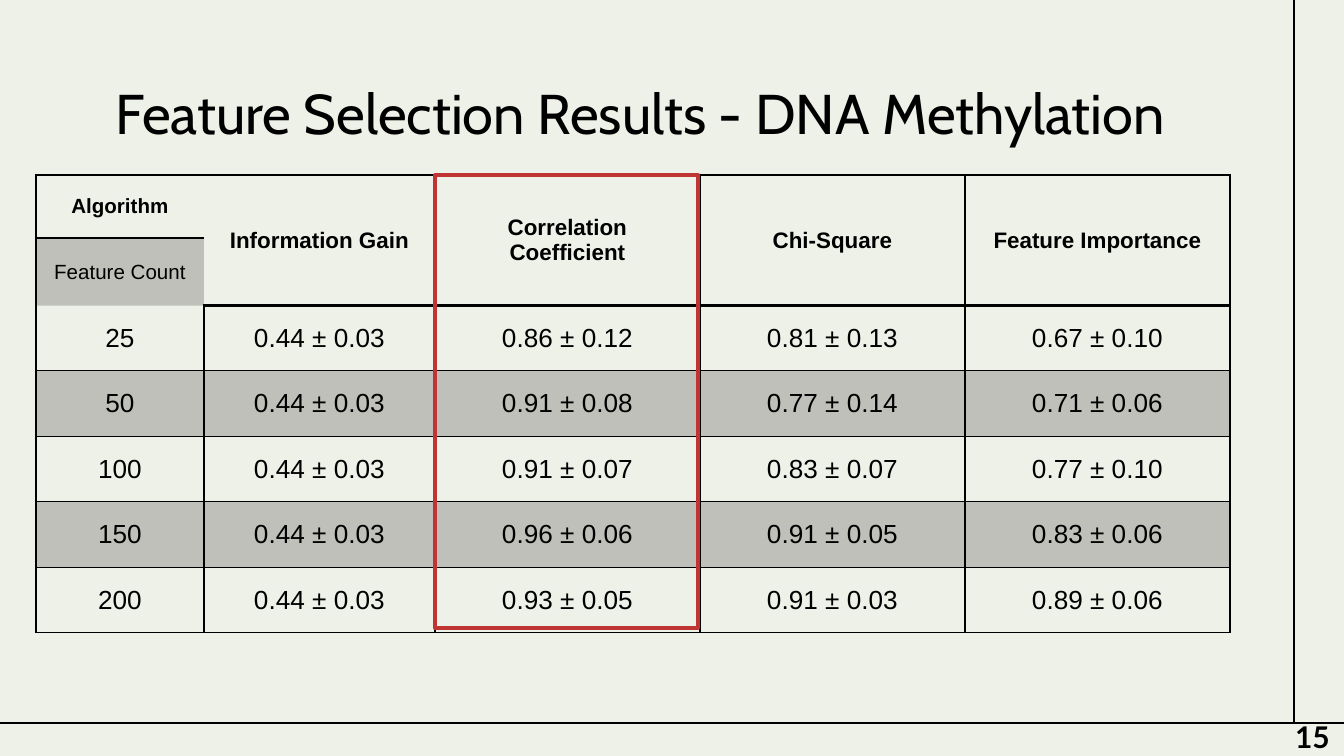
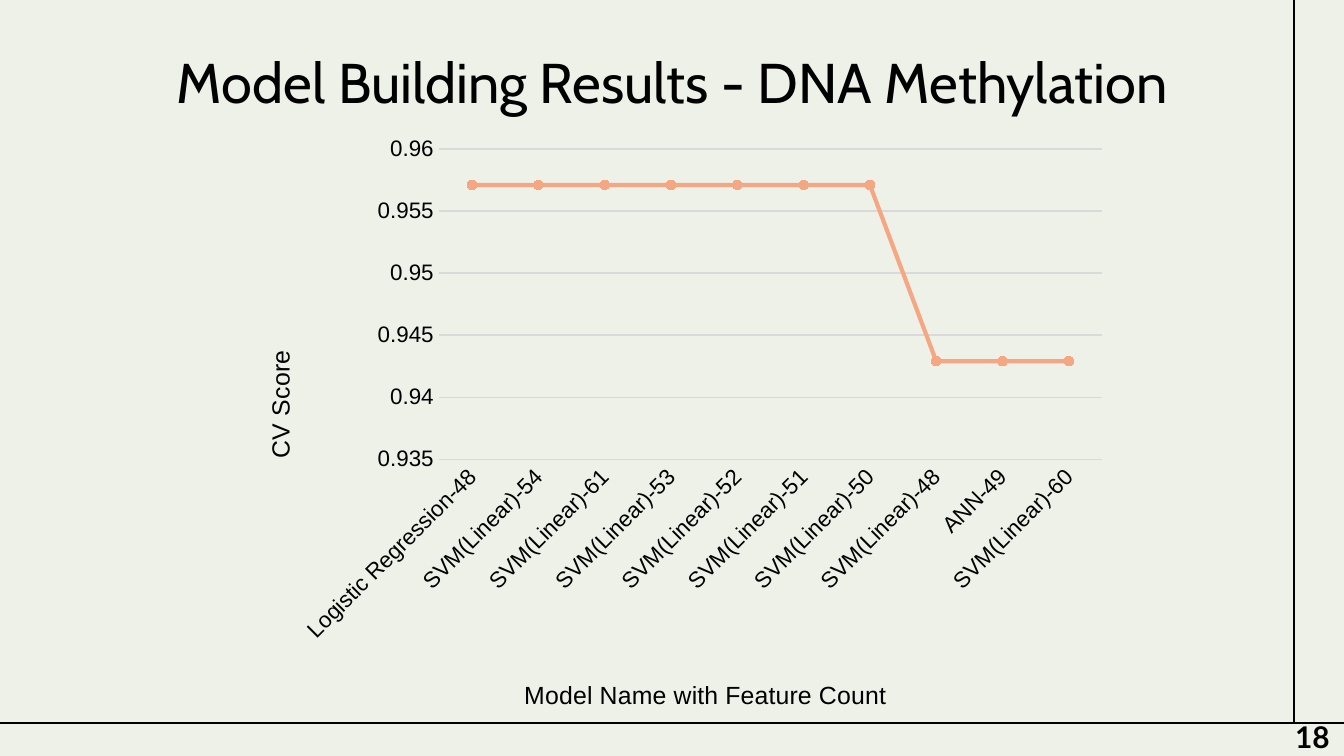
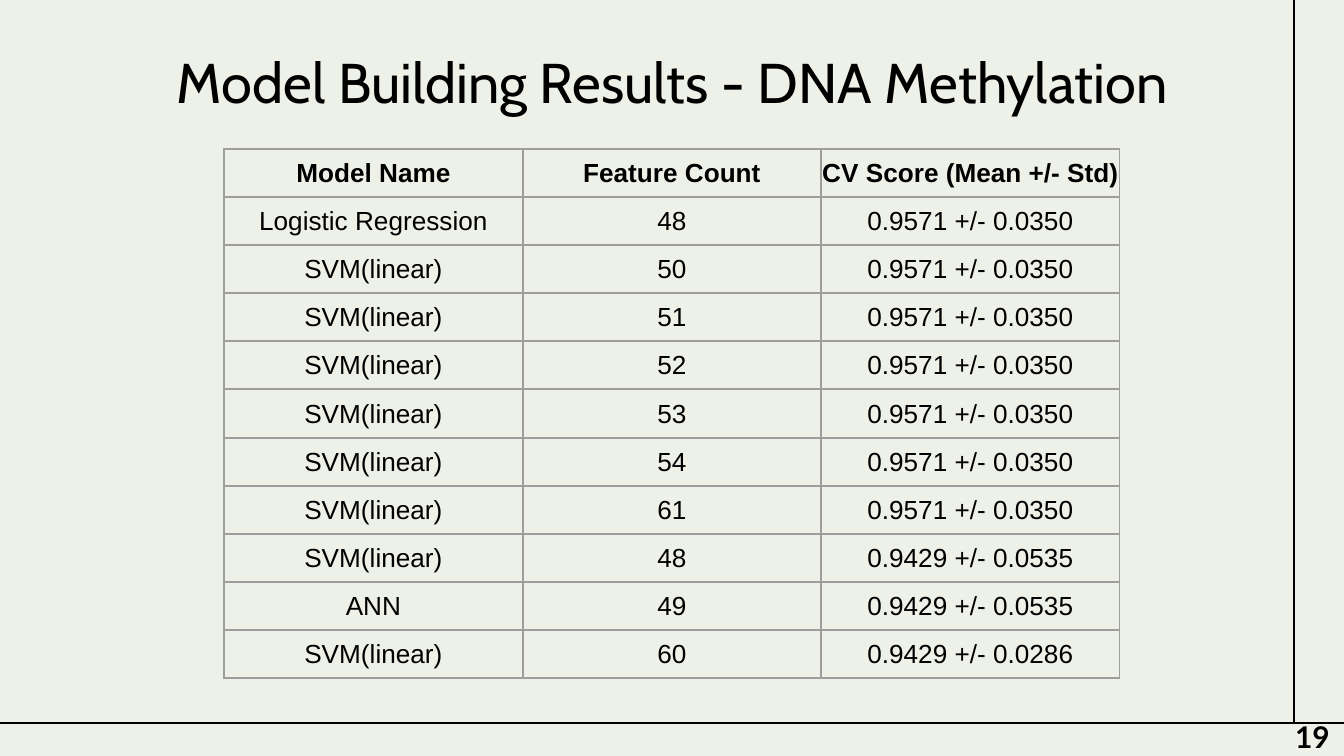
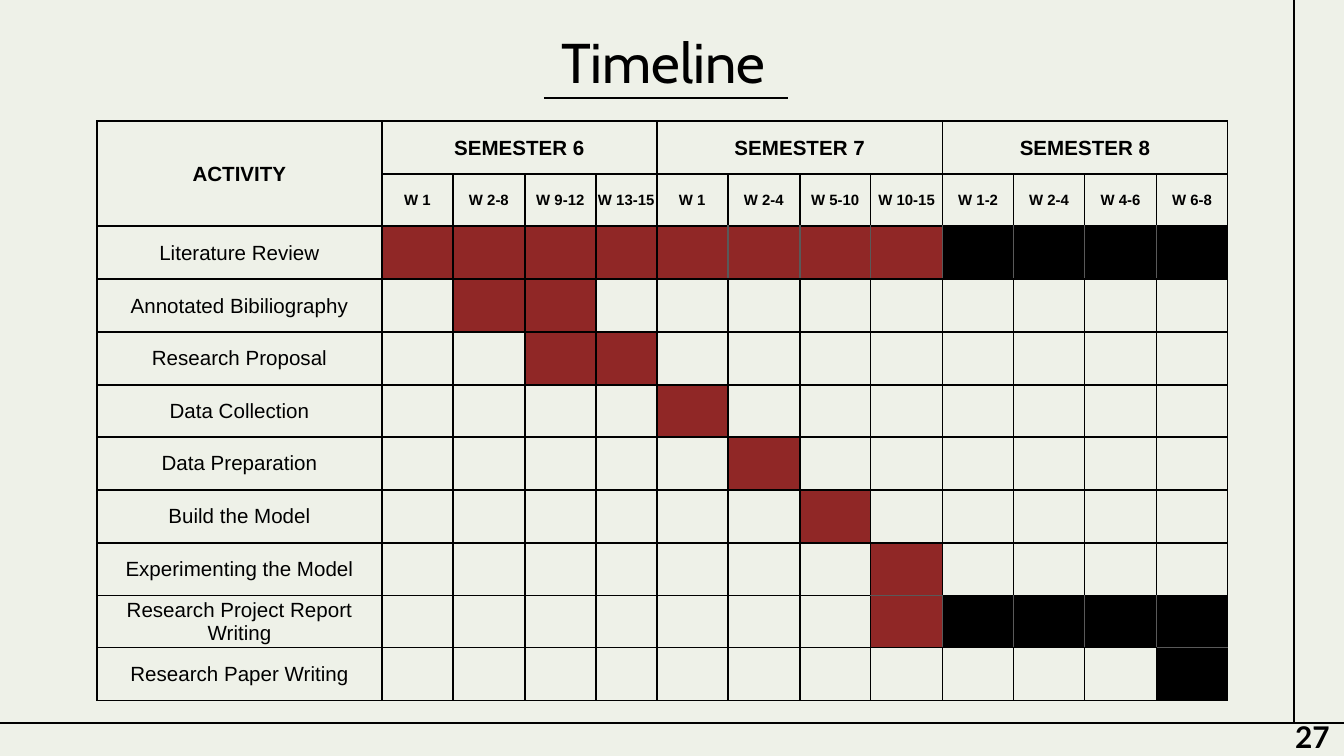
from lxml.etree import SubElement
from pptx import Presentation
from pptx.chart.data import CategoryChartData as ChartData
from pptx.dml.color import RGBColor as RGB
from pptx.enum.chart import XL_CHART_TYPE as Kind, XL_MARKER_STYLE as Mark
from pptx.enum.chart import XL_TICK_MARK as Tick
from pptx.enum.shapes import MSO_CONNECTOR as Conn, MSO_SHAPE as Form
from pptx.enum.text import MSO_ANCHOR as Anchor, MSO_AUTO_SIZE as Auto, PP_ALIGN as Align
from pptx.oxml.ns import qn
from pptx.util import Emu, Pt

WIDE, HIGH = 1344, 756
PAPER = RGB(0xEE, 0xF1, 0xE8)
BLACK = RGB(0, 0, 0)
RED = RGB(0xC0, 0x34, 0x33)
BRICK = RGB(0x90, 0x27, 0x26)
PEACH = RGB(0xF5, 0xA6, 0x82)
SILVER = RGB(0xD9, 0xD9, 0xD9)
GREY = RGB(0x9E, 0x9E, 0x9E)
SLATE = RGB(0x59, 0x59, 0x59)
TIGHT = (1, 1, 1, 0)
ROOMY = (13, 7, 13, 7)


def px(n):
    return Emu(round(n * 9144000 / WIDE))


def spread(total, count):
    """Split a length into whole parts that differ by one px at most."""
    stops = [round(total * i / count) for i in range(count + 1)]
    return [b - a for a, b in zip(stops, stops[1:])]


def style(font, size, face="Arial", color=BLACK, bold=False):
    font.size, font.name, font.bold = Pt(size), face, bold
    font.color.rgb = color


def write(frame, text, align=Align.CENTER, **look):
    para = frame.paragraphs[0]
    para.alignment = align
    run = para.add_run()
    run.text = text
    style(run.font, **look)


def edge(cell, sides, color, width=1):
    """Set the given sides (letters of LRTB); no colour means no line."""
    props = cell._tc.get_or_add_tcPr()
    for side in sides:
        tag = qn(f"a:ln{side}")
        line = props.find(tag)
        if line is None:
            line = SubElement(props, tag)
        line.clear()
        line.set("w", str(Pt(width)))
        if color is None:
            SubElement(line, qn("a:noFill"))
        else:
            SubElement(SubElement(line, qn("a:solidFill")), qn("a:srgbClr")).set("val", str(color))


def tint(cell, color, alpha=None):
    cell.fill.solid()
    cell.fill.fore_color.rgb = color
    if alpha:
        tone = cell._tc.tcPr.find(qn("a:solidFill"))[0]
        SubElement(tone, qn("a:alpha")).set("val", str(alpha * 1000))


def seam(one, two, sides, color):
    """Colour the border that two neighbour cells share."""
    edge(one, sides[0], color)
    edge(two, sides[1], color)


def place(node, index, **spots):
    """Give a chart part a fixed place, as fractions of the chart."""
    old = node.find(qn("c:layout"))
    if old is not None:
        node.remove(old)
    layout = SubElement(node, qn("c:layout"))
    node.insert(index, layout)
    manual = SubElement(layout, qn("c:manualLayout"))
    modes = {"xMode": "edge", "yMode": "edge"}
    if "w" in spots:
        modes = {"layoutTarget": "inner", **modes}
    for key, val in {**modes, **spots}.items():
        SubElement(manual, qn(f"c:{key}")).set("val", str(val))


class Deck:
    """Holds the shared style and the current slide."""

    def __init__(self):
        self.prs = Presentation()
        self.prs.slide_width, self.prs.slide_height = px(WIDE), px(HIGH)

    def page(self, number):
        self.slide = self.prs.slides.add_slide(self.prs.slide_layouts[6])
        fill = self.slide.background.fill
        fill.solid()
        fill.fore_color.rgb = PAPER
        self.line(1294, 0, 1294, 723)
        self.line(0, 723, WIDE, 723)
        frame = self.text(1282, 712, 62, 50, str(number), Align.LEFT,
                          size=16, face="Lato", bold=True)
        frame.auto_size = Auto.SHAPE_TO_FIT_TEXT

    def line(self, x1, y1, x2, y2):
        line = self.slide.shapes.add_connector(Conn.STRAIGHT, px(x1), px(y1), px(x2), px(y2))
        line.line.color.rgb = BLACK
        line.line.width = Pt(0.75)
        SubElement(line._element.spPr, qn("a:effectLst"))

    def text(self, x, y, w, h, text, align=Align.CENTER, **look):
        frame = self.slide.shapes.add_textbox(px(x), px(y), px(w), px(h)).text_frame
        frame.word_wrap = True
        write(frame, text, align, **look)
        return frame

    def title(self, text, x=106, y=35, w=1133):
        frame = self.text(x, y, w, 85, text, size=30, face="Cabin")
        frame.margin_top = frame.margin_bottom = px(13)

    def frame(self, x, y, w, h):
        box = self.slide.shapes.add_shape(Form.RECTANGLE, px(x), px(y), px(w), px(h))
        box.shadow.inherit = False
        box.fill.background()
        box.line.color.rgb = RED
        box.line.width = Pt(2)

    def table(self, x, y, cols, rows, data, look, color=BLACK, width=1, inset=TIGHT):
        """Add a table; look(row, col) gives the text format of a cell."""
        grid = self.slide.shapes.add_table(len(rows), len(cols), px(x), px(y),
                                           px(sum(cols)), px(sum(rows))).table
        grid.first_row = grid.horz_banding = False
        for col, w in zip(grid.columns, cols):
            col.width = px(w)
        for r, (row, h) in enumerate(zip(grid.rows, rows)):
            row.height = px(h)
            for c, cell in enumerate(row.cells):
                edge(cell, "LRTB", color, width)
                cell.fill.background()
                cell.vertical_anchor = Anchor.MIDDLE
                (cell.margin_left, cell.margin_top,
                 cell.margin_right, cell.margin_bottom) = map(px, inset)
                if c < len(data[r]) and data[r][c]:
                    write(cell.text_frame, data[r][c], **look(r, c))
        return grid

    def chart(self, x, y, w, h, names, vals):
        data = ChartData()
        data.categories = names
        data.add_series("Series 1", vals)
        chart = self.slide.shapes.add_chart(Kind.LINE_MARKERS, px(x), px(y),
                                            px(w), px(h), data).chart
        chart.has_legend = chart.has_title = False
        style(chart.font, 10)
        plot = chart.plots[0]
        plot.vary_by_categories = False
        line = plot.series[0]
        line.smooth = False
        line.format.line.color.rgb = PEACH
        line.format.line.width = Pt(2.25)
        line.marker.style, line.marker.size = Mark.CIRCLE, 5
        line.marker.format.fill.solid()
        line.marker.format.fill.fore_color.rgb = PEACH
        line.marker.format.line.color.rgb = PEACH
        place(chart._chartSpace.chart.plotArea, 0, x=0.24, y=0.02, w=0.74, h=0.52)
        return chart

    def axis(self, axis, title, x, y, turn):
        axis.major_tick_mark = axis.minor_tick_mark = Tick.NONE
        style(axis.tick_labels.font, 12)
        frame = axis.axis_title.text_frame
        write(frame, title, size=13.3)
        frame._txBody.bodyPr.set("rot", str(turn * 60000))
        place(axis.axis_title._element, 1, x=x, y=y)


def select(deck):
    deck.page(15)
    heads = ["Information Gain", "Correlation Coefficient", "Chi-Square", "Feature Importance"]
    scores = [
        ["25", "0.44 ± 0.03", "0.86 ± 0.12", "0.81 ± 0.13", "0.67 ± 0.10"],
        ["50", "0.44 ± 0.03", "0.91 ± 0.08", "0.77 ± 0.14", "0.71 ± 0.06"],
        ["100", "0.44 ± 0.03", "0.91 ± 0.07", "0.83 ± 0.07", "0.77 ± 0.10"],
        ["150", "0.44 ± 0.03", "0.96 ± 0.06", "0.91 ± 0.05", "0.83 ± 0.06"],
        ["200", "0.44 ± 0.03", "0.93 ± 0.05", "0.91 ± 0.03", "0.89 ± 0.06"],
    ]

    def look(r, c):
        return {"size": 14 if r > 1 else 12 if c else 11, "bold": r == 0}

    grid = deck.table(36, 175, [168, 231] + spread(795, 3), [63, 63] + spread(327, 5),
                      [["Algorithm"] + heads, ["Feature Count"]] + scores, look, inset=ROOMY)
    for r in (1, 3, 5):
        for c in range(5 if r > 1 else 1):
            tint(grid.cell(r, c), BLACK, 20)
    for r in (0, 1):
        seam(grid.cell(r, 0), grid.cell(r, 1), "RL", None)
    seam(grid.cell(1, 0), grid.cell(2, 0), "BT", None)
    for c in range(1, 5):
        for r, side in enumerate("BBT"):
            edge(grid.cell(r, c), side, BLACK, 2)
        grid.cell(0, c).merge(grid.cell(1, c))
    deck.title("Feature Selection Results - DNA Methylation", 43, 66, 1195)
    deck.frame(435, 175, 263, 453)


def plot(deck):
    deck.page(18)
    names = ["Logistic Regression-48"]
    names += [f"SVM(Linear)-{n}" for n in (54, 61, 53, 52, 51, 50, 48)]
    names += ["ANN-49", "SVM(Linear)-60"]
    chart = deck.chart(224, 137, 896, 597, names, [0.9571] * 7 + [0.9429] * 3)
    cats, vals = chart.category_axis, chart.value_axis
    deck.axis(cats, "Model Name with Feature Count", 0.33, 0.9, 0)
    deck.axis(vals, "CV Score", 0.04, 0.35, -90)
    cats.format.line.color.rgb = SILVER
    cats.format.line.width = Pt(0.75)
    cats.tick_labels.font  # text properties exist before they are turned
    cats._element.find(qn("c:txPr")).find(qn("a:bodyPr")).set("rot", str(-45 * 60000))
    vals.minimum_scale, vals.maximum_scale, vals.major_unit = 0.935, 0.96, 0.005
    vals.tick_labels.number_format = "General"
    vals.tick_labels.number_format_is_linked = False
    vals.format.line.fill.background()
    vals.has_major_gridlines = True
    rule = vals.major_gridlines.format.line
    rule.color.rgb = SILVER
    rule.width = Pt(0.75)
    deck.title("Model Building Results - DNA Methylation")


def scores(deck):
    deck.page(19)
    deck.title("Model Building Results - DNA Methylation")
    svm, top = "SVM(linear)", "0.9571 +/- 0.0350"
    rows = [["Model Name", "Feature Count", "CV Score (Mean +/- Std)"],
            ["Logistic Regression", "48", top]]
    rows += [[svm, str(n), top] for n in (50, 51, 52, 53, 54, 61)]
    rows += [[svm, "48", "0.9429 +/- 0.0535"],
             ["ANN", "49", "0.9429 +/- 0.0535"],
             [svm, "60", "0.9429 +/- 0.0286"]]
    deck.table(224, 149, spread(896, 3), spread(529, 11), rows,
               lambda r, c: {"size": 14, "bold": r == 0}, GREY, 0.75)


def timeline(deck):
    deck.page(27)
    deck.title("Timeline", 97, 15)
    weeks = ["1", "2-8", "9-12", "13-15", "1", "2-4", "5-10", "10-15",
             "1-2", "2-4", "4-6", "6-8"]
    # Each activity with the columns that are done and those still to come
    tasks = [
        ("Literature Review", range(1, 9), range(9, 13)),
        ("Annotated Bibiliography", (2, 3), ()),
        ("Research Proposal", (3, 4), ()),
        ("Data Collection", (5,), ()),
        ("Data Preparation", (6,), ()),
        ("Build the Model", (7,), ()),
        ("Experimenting the Model", (8,), ()),
        ("Research Project Report Writing", (8,), range(9, 13)),
        ("Research Paper Writing", (), (12,)),
    ]
    terms = ["ACTIVITY"] + [""] * 12
    for i in range(3):
        terms[1 + 4 * i] = f"SEMESTER {6 + i}"
    data = [terms, [""] + [f"W {w}" for w in weeks]] + [[task[0]] for task in tasks]

    def look(r, c):
        return {"size": 8 if r == 1 else 11, "bold": r < 2}

    cols = [285] + spread(214, 3) + [61] + spread(571, 8)
    grid = deck.table(97, 121, cols, spread(580, 11), data, look)
    for r, (_, done, ahead) in enumerate(tasks, 2):
        for color, span in ((BRICK, done), (BLACK, ahead)):
            for c in span:
                tint(grid.cell(r, c), color)
    for r, first in ((2, 5), (9, 8)):
        for c in range(first, 12):
            seam(grid.cell(r, c), grid.cell(r, c + 1), "RL", SLATE)
    for r, c in ((8, 8), (9, 12)):
        seam(grid.cell(r, c), grid.cell(r + 1, c), "BT", SLATE)
    grid.cell(0, 0).merge(grid.cell(1, 0))
    for c in (1, 5, 9):
        grid.cell(0, c).merge(grid.cell(0, c + 3))
    deck.line(544, 98, 788, 98)


def main():
    deck = Deck()
    for build in (select, plot, scores, timeline):
        build(deck)
    deck.prs.save("out.pptx")


if __name__ == "__main__":
    main()
